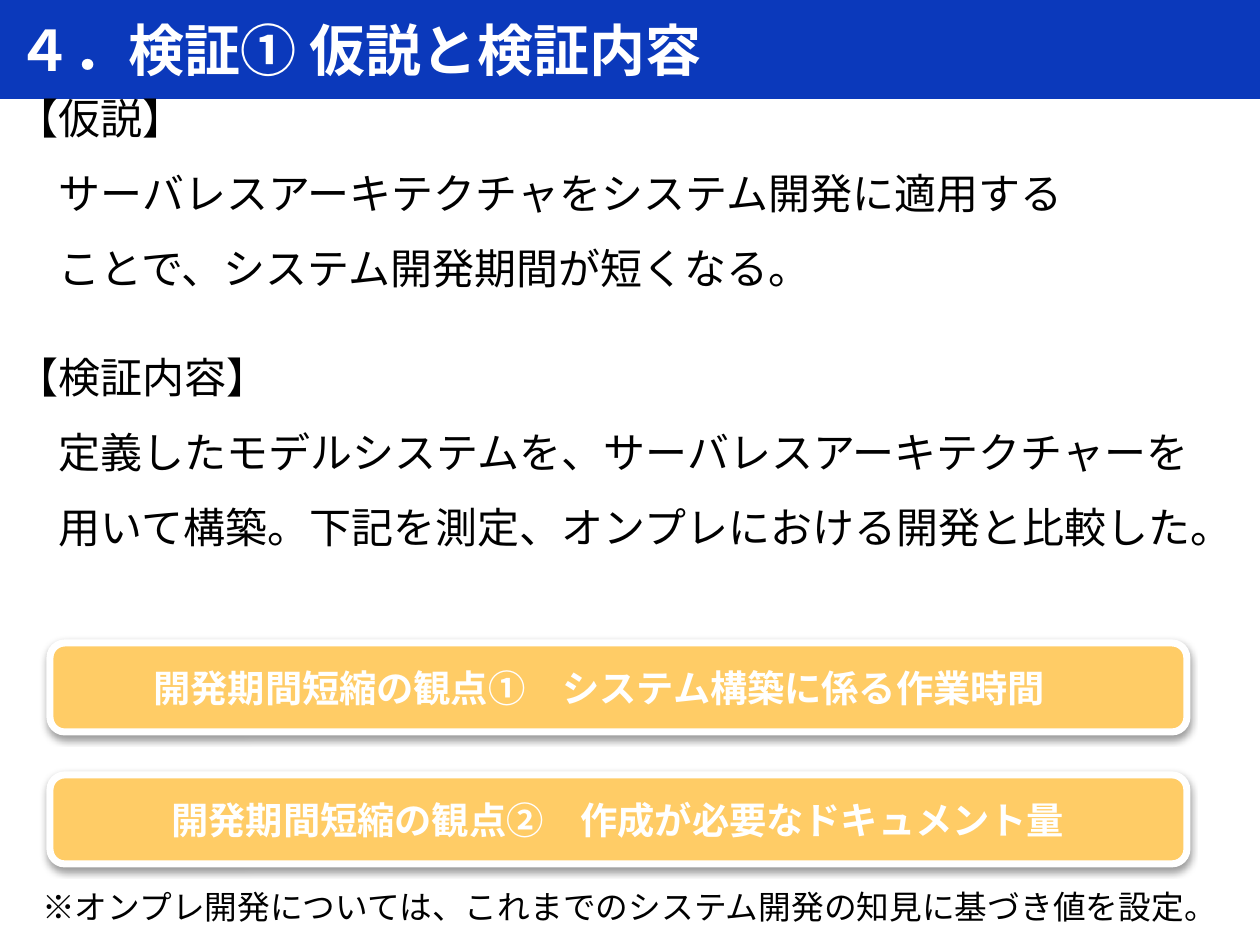
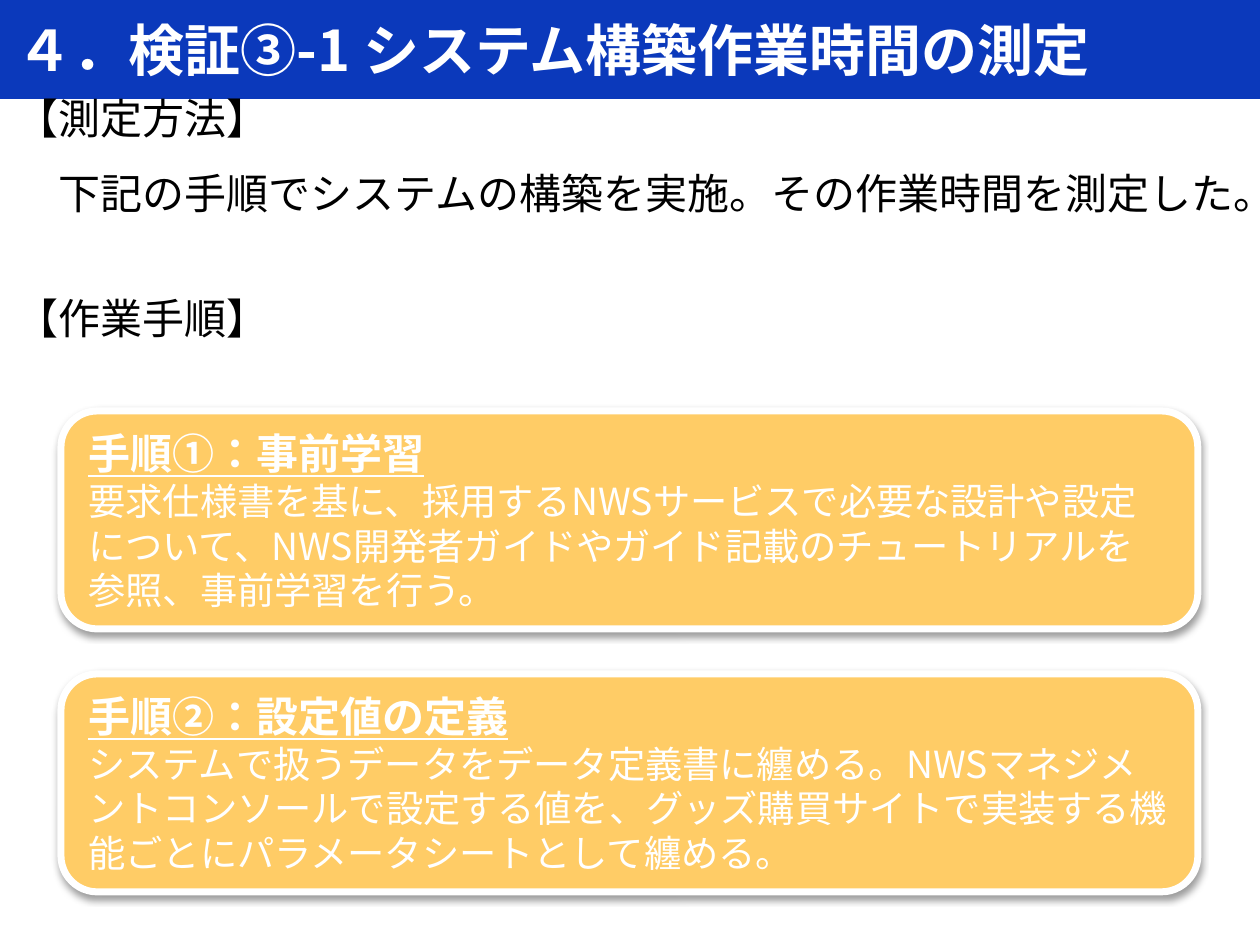
from dataclasses import dataclass

from lxml import etree
from pptx import Presentation
from pptx.dml.color import RGBColor
from pptx.enum.shapes import MSO_SHAPE
from pptx.enum.text import MSO_ANCHOR, PP_ALIGN
from pptx.oxml.ns import qn
from pptx.shapes.autoshape import Shape
from pptx.slide import Slide
from pptx.util import Emu, Pt

RECT = MSO_SHAPE.RECTANGLE
ROUNDED = MSO_SHAPE.ROUNDED_RECTANGLE
TOP, MIDDLE = MSO_ANCHOR.TOP, MSO_ANCHOR.MIDDLE
LEFT, CENTER = PP_ALIGN.LEFT, PP_ALIGN.CENTER

PX_PER_INCH = 168
SLIDE_W, SLIDE_H = 1260, 945
BAND_H = 99
INSET = 17
CARD_W = 1137


@dataclass(frozen=True)
class Theme:
    font: str = "Noto Sans CJK JP"
    band: str = "0B39BB"
    card: str = "FFCC66"
    light: str = "FFFFFF"
    ink: str = "000000"
    shadow: str = "000000"
    title_pt: int = 24
    body_pt: int = 18
    card_pt: int = 16
    note_pt: int = 14
    line_pt: int = 16
    border_pt: int = 3


THEME = Theme()


@dataclass(frozen=True)
class Box:
    left: int
    top: int
    width: int
    height: int


@dataclass(frozen=True)
class Line:
    text: str
    size: int
    color: str
    bold: bool = False
    underline: bool = False
    align: PP_ALIGN = LEFT
    spaced: bool = False


@dataclass(frozen=True)
class Section:
    top: int
    height: int
    lines: tuple[str, ...]


@dataclass(frozen=True)
class Step:
    heading: str
    detail: str


def px(length: int) -> Emu:
    return Emu(round(length * 914400 / PX_PER_INCH))


def rgb(color: str) -> RGBColor:
    return RGBColor.from_string(color)


def bounds(box: Box) -> tuple[Emu, Emu, Emu, Emu]:
    return px(box.left), px(box.top), px(box.width), px(box.height)


def write_lines(shape: Shape, lines: list[Line], anchor: MSO_ANCHOR, inset_y: int = INSET) -> None:
    frame = shape.text_frame
    frame.word_wrap = True
    frame.vertical_anchor = anchor
    frame.margin_left = frame.margin_right = px(INSET)
    frame.margin_top = frame.margin_bottom = px(inset_y)
    for index, line in enumerate(lines):
        paragraph = frame.add_paragraph() if index else frame.paragraphs[0]
        paragraph.alignment = line.align
        if line.spaced:
            paragraph.line_spacing = paragraph.space_before = Pt(THEME.line_pt)
        run = paragraph.add_run()
        run.text = line.text
        font = run.font
        font.name, font.size = THEME.font, Pt(line.size)
        font.bold, font.underline = line.bold, line.underline
        font.color.rgb = rgb(line.color)
        props = run._r.get_or_add_rPr()
        props.set("lang", "ja-JP")
        east_asian = etree.Element(qn("a:ea"), typeface=THEME.font)
        props.find(qn("a:latin")).addnext(east_asian)


def add_filled(slide: Slide, kind: MSO_SHAPE, box: Box, fill: str) -> Shape:
    shape = slide.shapes.add_shape(kind, *bounds(box))
    shape.shadow.inherit = False
    shape.fill.solid()
    shape.fill.fore_color.rgb = rgb(fill)
    shape.line.fill.background()
    return shape


def add_title_band(slide: Slide, title: str) -> None:
    band = add_filled(slide, RECT, Box(0, 0, SLIDE_W, BAND_H), THEME.band)
    write_lines(band, [Line(title, THEME.title_pt, THEME.light, bold=True)], MIDDLE)


def add_text(slide: Slide, box: Box, lines: list[Line], anchor: MSO_ANCHOR) -> None:
    write_lines(slide.shapes.add_textbox(*bounds(box)), lines, anchor)


def add_section(slide: Slide, section: Section) -> None:
    lines = [Line(text, THEME.body_pt, THEME.ink, spaced=True) for text in section.lines]
    add_text(slide, Box(0, section.top, SLIDE_W, section.height), lines, TOP)


def add_drop_shadow(shape: Shape) -> None:
    effects = shape._element.spPr.find(qn("a:effectLst"))
    shadow = etree.SubElement(
        effects, qn("a:outerShdw"), blurRad=str(Pt(3.1)), dist=str(Pt(1.6)),
        dir="5400000", rotWithShape="0")
    color = etree.SubElement(shadow, qn("a:srgbClr"), val=THEME.shadow)
    etree.SubElement(color, qn("a:alpha"), val="38000")


def add_card(slide: Slide, box: Box, lines: list[Line]) -> None:
    card = add_filled(slide, ROUNDED, box, THEME.card)
    card.line.color.rgb = rgb(THEME.light)
    card.line.width = Pt(THEME.border_pt)
    add_drop_shadow(card)
    write_lines(card, lines, MIDDLE, inset_y=8)


def add_card_stack(slide: Slide, first: Box, pitch: int, cards: list[list[Line]]) -> None:
    """Draw equal cards downwards, their tops one pitch apart."""
    for index, lines in enumerate(cards):
        top = first.top + index * pitch
        add_card(slide, Box(first.left, top, first.width, first.height), lines)


def build_hypothesis(slide: Slide) -> None:
    add_title_band(slide, "４．検証① 仮説と検証内容")
    add_section(slide, Section(348, 287, (
        "【検証内容】",
        "　定義したモデルシステムを、サーバレスアーキテクチャーを",
        "　用いて構築。下記を測定、オンプレにおける開発と比較した。")))
    note = "※オンプレ開発については、これまでのシステム開発の知見に基づき値を設定。"
    add_text(slide, Box(0, 877, SLIDE_W, 60),
             [Line(note, THEME.note_pt, THEME.ink, align=CENTER, spaced=True)], MIDDLE)
    viewpoints = (
        "開発期間短縮の観点①　システム構築に係る作業時間　",
        "開発期間短縮の観点②　作成が必要なドキュメント量")
    add_card_stack(slide, Box(50, 643, CARD_W, 89), 132, [
        [Line(text, THEME.card_pt, THEME.light, bold=True, align=CENTER)]
        for text in viewpoints])
    add_section(slide, Section(89, 269, (
        "【仮説】",
        "　サーバレスアーキテクチャをシステム開発に適用する",
        "　ことで、システム開発期間が短くなる。")))


def build_measurement(slide: Slide) -> None:
    add_title_band(slide, "４．検証③-1 システム構築作業時間の測定　")
    add_section(slide, Section(89, 269, (
        "【測定方法】",
        "　下記の手順でシステムの構築を実施。その作業時間を測定した。")))
    steps = (
        Step("手順①：事前学習",
             "要求仕様書を基に、採用するNWSサービスで必要な設計や設定について、"
             "NWS開発者ガイドやガイド記載のチュートリアルを参照、事前学習を行う。"),
        Step("手順②：設定値の定義",
             "システムで扱うデータをデータ定義書に纏める。"
             "NWSマネジメントコンソールで設定する値を、グッズ購買サイトで実装する"
             "機能ごとにパラメータシートとして纏める。"))
    add_card_stack(slide, Box(61, 411, CARD_W, 218), 263, [
        [Line(step.heading, THEME.body_pt, THEME.light, bold=True, underline=True),
         Line(step.detail, THEME.card_pt, THEME.light)]
        for step in steps])
    add_section(slide, Section(289, 287, ("【作業手順】",)))


def main() -> None:
    deck = Presentation()
    deck.slide_width, deck.slide_height = px(SLIDE_W), px(SLIDE_H)
    blank = deck.slide_layouts[6]
    for build in (build_hypothesis, build_measurement):
        build(deck.slides.add_slide(blank))
    deck.save("out.pptx")


if __name__ == "__main__":
    main()
